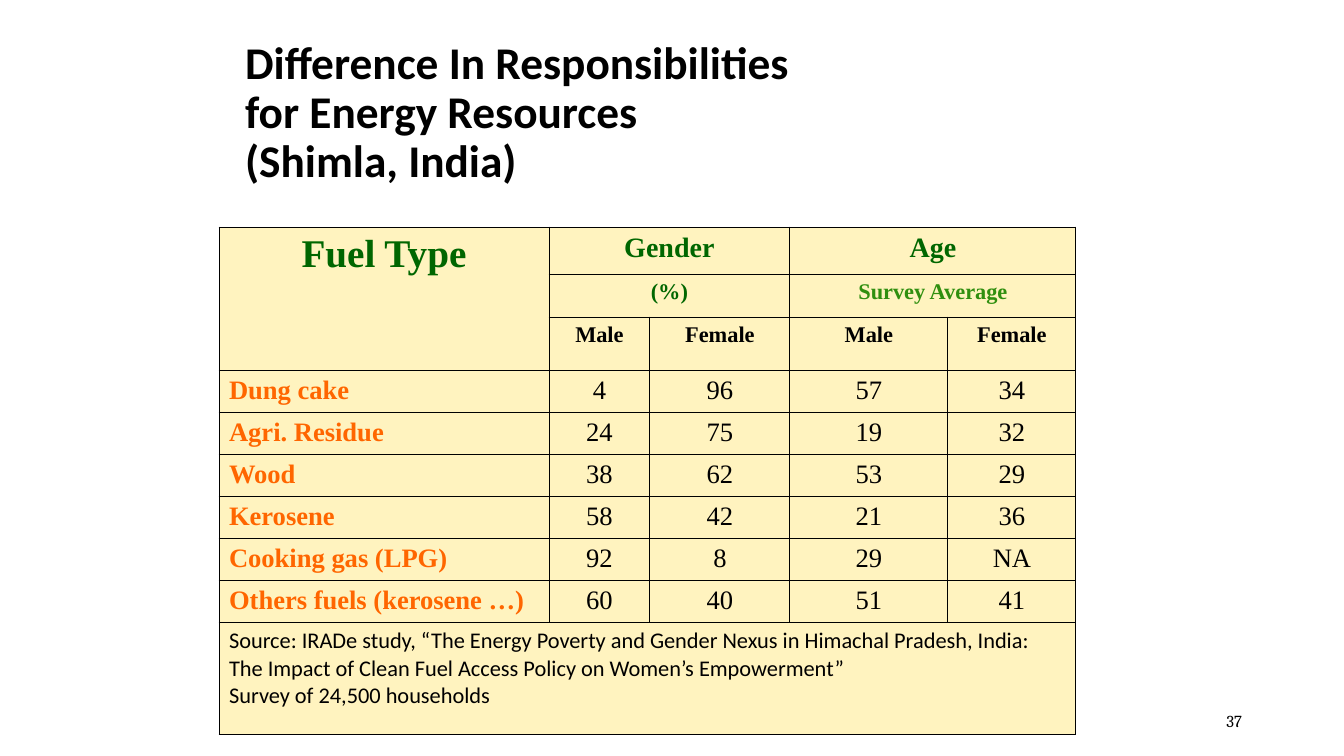
"""Build a slide with a table of energy duties by gender and age in Shimla."""
from lxml.etree import SubElement
from pptx import Presentation
from pptx.dml.color import RGBColor
from pptx.enum.text import MSO_ANCHOR as Anchor, PP_ALIGN as Align
from pptx.oxml.ns import qn
from pptx.util import Emu, Inches, Pt

BLACK = RGBColor(0x00, 0x00, 0x00)
GREEN = RGBColor(0x00, 0x66, 0x00)
LIME = RGBColor(0x30, 0x8F, 0x0F)
ORANGE = RGBColor(0xFF, 0x66, 0x00)
CREAM = RGBColor(0xFF, 0xF3, 0xBF)
SERIF = "Times New Roman"


def px(count):
    return Emu(round(count * Inches(1) / 100.8))


def write(frame, text, size=19, color=BLACK, font=SERIF, bold=False, align=Align.CENTER):
    frame.word_wrap = True
    frame.text = text
    for para in frame.paragraphs:
        para.alignment = align
        for run in para.runs:
            run.font.name = font
            run.font.size = Pt(size)
            run.font.bold = bold
            run.font.color.rgb = color


deck = Presentation()
deck.slide_width, deck.slide_height = px(1344), px(756)
slide = deck.slides.add_slide(deck.slide_layouts[5])

title = slide.shapes.title
title.left, title.top, title.width, title.height = px(235), px(33), px(859), px(161)
frame = title.text_frame
write(frame, "Difference In Responsibilities\vfor Energy Resources\v(Shimla, India)",
      size=32.4, font="Calibri", bold=True, align=Align.LEFT)
frame.vertical_anchor = Anchor.MIDDLE
frame.paragraphs[0].line_spacing = 0.9

widths = [330, 101, 140, 158, 128]
heights = [47, 43, 53] + [42] * 6 + [112]
shape = slide.shapes.add_table(len(heights), len(widths), px(219), px(227),
                               px(sum(widths)), px(sum(heights)))
table = shape.table
table.first_row = table.horz_banding = False
for col, width in zip(table.columns, widths):
    col.width = px(width)
for row, height in zip(table.rows, heights):
    row.height = px(height)

for cell in table.iter_cells():
    props = cell._tc.get_or_add_tcPr()
    for side in ("lnL", "lnR", "lnT", "lnB"):
        line = SubElement(props, qn(f"a:{side}"), w=str(Pt(0.75)))
        SubElement(SubElement(line, qn("a:solidFill")), qn("a:srgbClr"), val=str(BLACK))
    cell.fill.solid()
    cell.fill.fore_color.rgb = CREAM

spans = [(0, 0, 2, 0), (0, 1, 0, 2), (0, 3, 0, 4), (1, 1, 1, 2), (1, 3, 1, 4), (9, 0, 9, 4)]
for top, left, bottom, right in spans:
    table.cell(top, left).merge(table.cell(bottom, right))

heads = [
    (0, 0, "Fuel Type", 28, GREEN),
    (0, 1, "Gender", 20, GREEN),
    (0, 3, "Age", 20, GREEN),
    (1, 1, "(%)", 16, GREEN),
    (1, 3, "Survey Average", 16, LIME),
    (2, 1, "Male", 16, BLACK),
    (2, 2, "Female", 16, BLACK),
    (2, 3, "Male", 16, BLACK),
    (2, 4, "Female", 16, BLACK),
]
for row, col, text, size, color in heads:
    write(table.cell(row, col).text_frame, text, size=size, color=color, bold=True)

fuels = [
    ("Dung cake", 4, 96, 57, 34),
    ("Agri. Residue", 24, 75, 19, 32),
    ("Wood", 38, 62, 53, 29),
    ("Kerosene", 58, 42, 21, 36),
    ("Cooking gas (LPG)", 92, 8, 29, "NA"),
    ("Others fuels (kerosene …)", 60, 40, 51, 41),
]
for row, (fuel, *values) in enumerate(fuels, 3):
    write(table.cell(row, 0).text_frame, fuel, color=ORANGE, bold=True, align=Align.LEFT)
    for col, value in enumerate(values, 1):
        write(table.cell(row, col).text_frame, str(value))

source = ("Source: IRADe study, “The Energy Poverty and Gender Nexus in Himachal Pradesh, India: "
          "The Impact of Clean Fuel Access Policy on Women’s Empowerment”\n"
          "Survey of 24,500 households")
write(table.cell(9, 0).text_frame, source, size=16, font="Calibri", align=Align.LEFT)

number = slide.shapes.add_textbox(px(950), px(701), px(302), px(40)).text_frame
write(number, "37", size=12, font="Cambria", align=Align.RIGHT)
number.vertical_anchor = Anchor.MIDDLE

deck.save("out.pptx")
